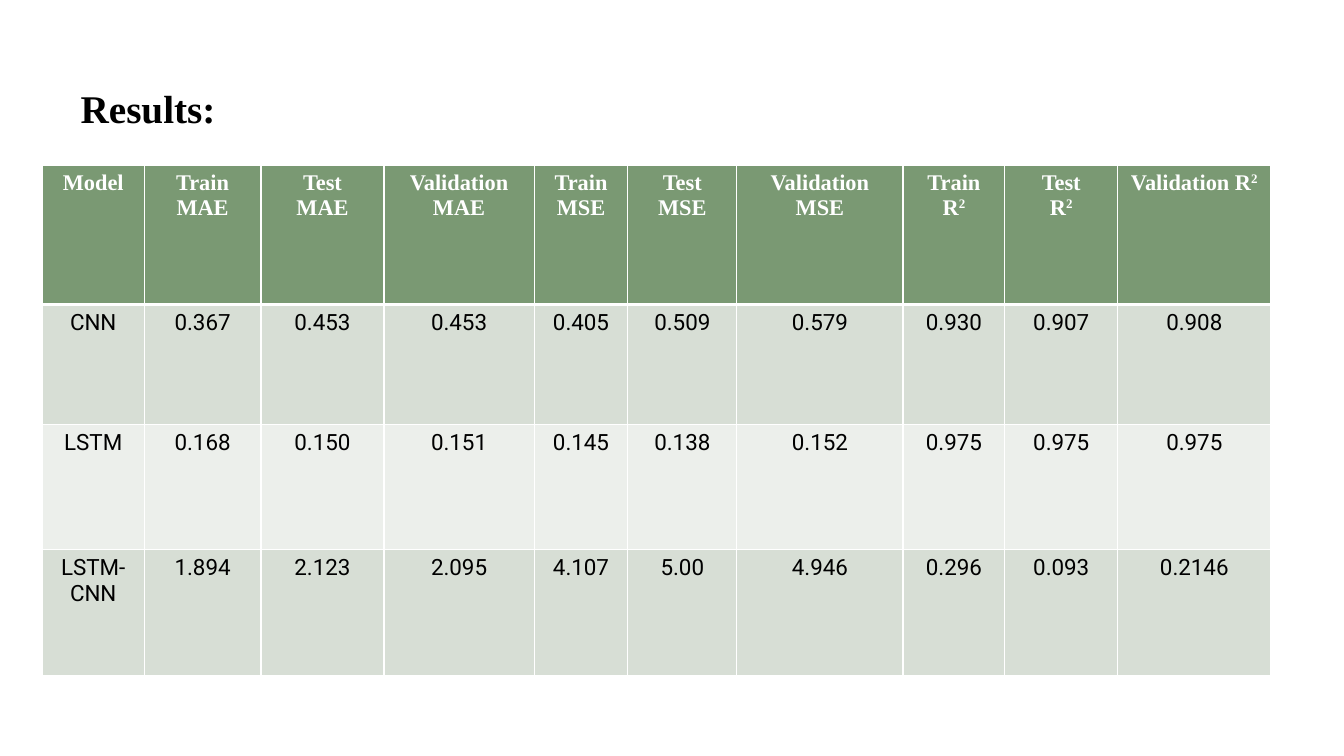
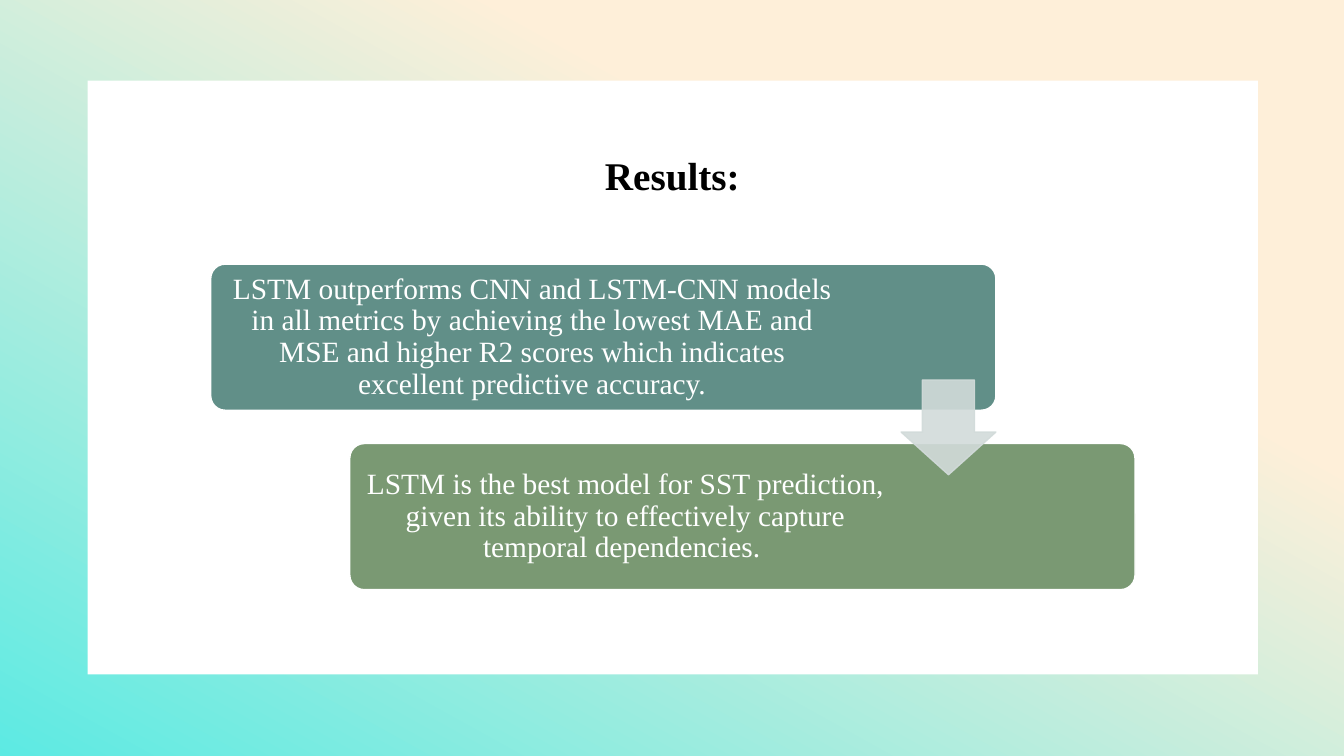
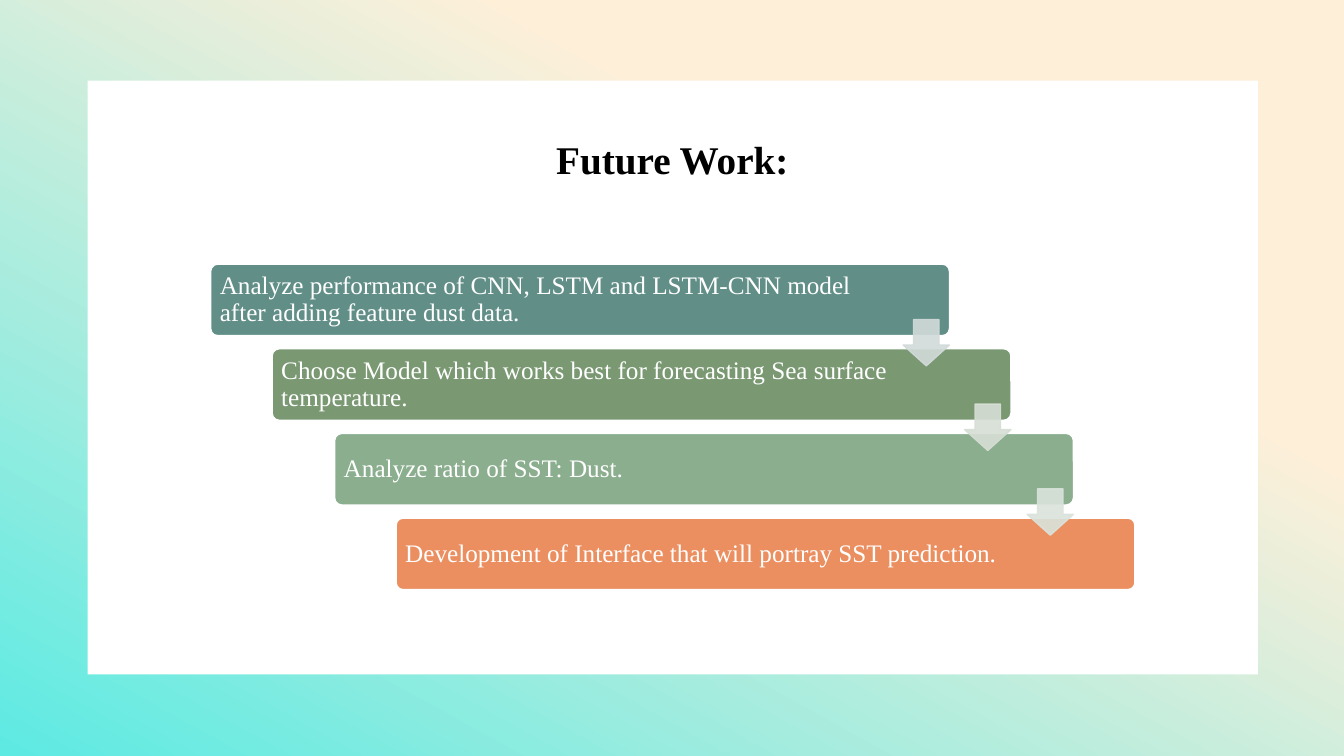
from lxml import etree
from pptx import Presentation
from pptx import util as u
from pptx.dml.color import RGBColor
from pptx.enum import shapes, text
from pptx.oxml.ns import qn

PX = 9144  # EMU per px, 100 px to the inch
SERIF, SANS = "Times New Roman", "Roboto"
BLACK = RGBColor(0x00, 0x00, 0x00)
WHITE = RGBColor(0xFF, 0xFF, 0xFF)
PEACH = RGBColor(0xFE, 0xEF, 0xD9)
AQUA = RGBColor(0x58, 0xEA, 0xE3)
TEAL = RGBColor(0x61, 0x8F, 0x88)
GREEN = RGBColor(0x7A, 0x99, 0x73)
SAGE = RGBColor(0x8A, 0xAE, 0x8E)
ORANGE = RGBColor(0xEB, 0x8F, 0x60)
BAND_DARK = RGBColor(0xD7, 0xDE, 0xD5)
BAND_LIGHT = RGBColor(0xEC, 0xEF, 0xEB)
ARROW_TEAL = RGBColor(0xD2, 0xDB, 0xDA)
ARROW_SAGE = RGBColor(0xDA, 0xE3, 0xDB)
ALIGN, ANCHOR = text.PP_ALIGN, text.MSO_ANCHOR
KIND = shapes.MSO_SHAPE

prs = Presentation()
prs.slide_width, prs.slide_height = 12192000, 6858000
title_only = prs.slide_layouts[5]


def add_title(slide, wording, box, align, anchor):
    title = slide.shapes.title
    title.left, title.top, title.width, title.height = [n * PX for n in box]
    frame = title.text_frame
    frame.text = wording
    frame.auto_size = text.MSO_AUTO_SIZE.NONE
    frame.vertical_anchor = anchor
    line = frame.paragraphs[0]
    line.alignment, line.line_spacing = align, 0.9
    line.font.name, line.font.size, line.font.bold = SERIF, u.Pt(28), True
    line.font.color.rgb = BLACK
    slide.shapes._spTree.append(title._element)  # bring to front


def add_block(slide, kind, box, color, line_color=None):
    block = slide.shapes.add_shape(kind, *[n * PX for n in box])
    block.shadow.inherit = False
    block.fill.solid()
    block.fill.fore_color.rgb = color
    if line_color is None:
        block.line.fill.background()
    else:
        block.line.color.rgb = line_color
        block.line.width = u.Pt(1)
    return block


# Metrics table
metrics = [
    ["Model", "Train MAE", "Test\nMAE", "Validation MAE", "Train\nMSE", "Test MSE",
     "Validation MSE", "Train\nR²", "Test\nR²", "Validation R²"],
    ["CNN", "0.367", "0.453", "0.453", "0.405", "0.509", "0.579", "0.930", "0.907", "0.908"],
    ["LSTM", "0.168", "0.150", "0.151", "0.145", "0.138", "0.152", "0.975", "0.975", "0.975"],
    ["LSTM-CNN", "1.894", "2.123", "2.095", "4.107", "5.00", "4.946", "0.296", "0.093", "0.2146"],
]
column_widths = [101, 116, 122, 149, 93, 108, 165, 101, 112, 152]
row_heights = [138, 119, 124, 125]
row_fills = [GREEN, BAND_DARK, BAND_LIGHT, BAND_DARK]

slide = prs.slides.add_slide(title_only)
table = slide.shapes.add_table(
    len(metrics), len(column_widths), 42 * PX, 164 * PX,
    sum(column_widths) * PX, sum(row_heights) * PX).table
for column, width in zip(table.columns, column_widths):
    column.width = width * PX
for row, height in zip(table.rows, row_heights):
    row.height = height * PX

for r, values in enumerate(metrics):
    for c, value in enumerate(values):
        cell = table.cell(r, c)
        for i, wording in enumerate(value.split("\n")):
            frame = cell.text_frame
            line = frame.add_paragraph() if i else frame.paragraphs[0]
            base, square, _ = wording.partition("²")
            line.add_run().text = base
            if square:
                power = line.add_run()
                power.text = "2"
                power._r.get_or_add_rPr().set("baseline", "30000")
            line.alignment = ALIGN.CENTER
            line.font.size, line.font.bold = u.Pt(16), r == 0
            line.font.name = SANS if r else SERIF
            line.font.color.rgb = BLACK if r else WHITE
        # White borders, thicker between header and body
        borders = cell._tc.get_or_add_tcPr()
        for side in ("lnL", "lnR", "lnT", "lnB"):
            thick = (r, side) in ((0, "lnB"), (1, "lnT"))
            border = etree.SubElement(borders, qn("a:" + side), w=str(u.Pt(3 if thick else 1)))
            paint = etree.SubElement(border, qn("a:solidFill"))
            etree.SubElement(paint, qn("a:srgbClr"), val=str(WHITE))
        cell.fill.solid()
        cell.fill.fore_color.rgb = row_fills[r]
add_title(slide, "Results:", (70, 32, 972, 104), ALIGN.LEFT, ANCHOR.BOTTOM)

# Staircase slides: each step is wording, fill, room kept free at the right
staircases = [
    dict(title="Results:", title_top=150, card=(779, 145), shift=(138, 178),
         arrow=94, inset=9, size=21, align=ALIGN.CENTER, arrow_fills=[ARROW_TEAL],
         steps=[
             ("LSTM outperforms CNN and LSTM-CNN models in all metrics by achieving the lowest "
              "MAE and MSE and higher R2 scores which indicates excellent predictive accuracy.",
              TEAL, 150),
             ("LSTM is the best model for SST prediction, given its ability to effectively "
              "capture temporal dependencies. ", GREEN, 241),
         ]),
    dict(title="Future Work:", title_top=134, card=(733, 71), shift=(61.33, 84),
         arrow=46, inset=7, size=18, align=ALIGN.LEFT,
         arrow_fills=[ARROW_TEAL, BAND_DARK, ARROW_SAGE],
         steps=[
             ("Analyze performance of CNN, LSTM and LSTM-CNN model after adding feature "
              "dust data.", TEAL, 86),
             ("Choose Model which works best for forecasting Sea surface temperature.",
              GREEN, 115),
             ("Analyze ratio of SST: Dust.", SAGE, 115),
             ("Development of Interface that will portray SST prediction.", ORANGE, 115),
         ]),
]

for stair in staircases:
    slide = prs.slides.add_slide(title_only)

    # Gradient backdrop and white panel
    backdrop = add_block(slide, KIND.RECTANGLE, (-6, -12, 1346, 773), PEACH)
    backdrop.rotation = 359
    backdrop.fill.gradient()
    backdrop.fill.gradient_angle = 240
    for stop, color, position in zip(backdrop.fill.gradient_stops, (PEACH, AQUA), (0.32, 1)):
        stop.color.rgb, stop.position = color, position
    add_block(slide, KIND.RECTANGLE, (87, 80, 1161, 589), WHITE)
    add_title(slide, stair["title"], (234, stair["title_top"], 866, 63),
              ALIGN.CENTER, ANCHOR.TOP)

    # Cards step down to the right
    width, height = stair["card"]
    dx, dy = stair["shift"]
    corners = [(round(209 + dx * i), 262 + dy * i) for i in range(len(stair["steps"]))]
    for (left, top), (wording, color, free_right) in zip(corners, stair["steps"]):
        card = add_block(slide, KIND.ROUNDED_RECTANGLE, (left, top, width, height), color, WHITE)
        card.adjustments[0] = 0.1
        frame = card.text_frame
        frame.word_wrap = True
        frame.vertical_anchor = ANCHOR.MIDDLE
        frame.margin_left = frame.margin_top = frame.margin_bottom = stair["inset"] * PX
        frame.margin_right = free_right * PX
        frame.text = wording
        line = frame.paragraphs[0]
        line.alignment, line.line_spacing = stair["align"], 0.9
        line.font.name, line.font.size = SERIF, u.Pt(stair["size"])
        line.font.color.rgb = WHITE

    # Arrows centred on the gaps, flush with the upper card's right edge
    side = stair["arrow"]
    for (left, top), color in zip(corners, stair["arrow_fills"]):
        arrow = add_block(
            slide, KIND.DOWN_ARROW,
            (left + width - side, top + (height + dy - side + 1) // 2, side, side), color, color)
        arrow.adjustments[0], arrow.adjustments[1] = 0.55, 0.45
        for paint in arrow._element.spPr.iter(qn("a:srgbClr")):
            etree.SubElement(paint, qn("a:alpha"), val="90000")

prs.save("out.pptx")
